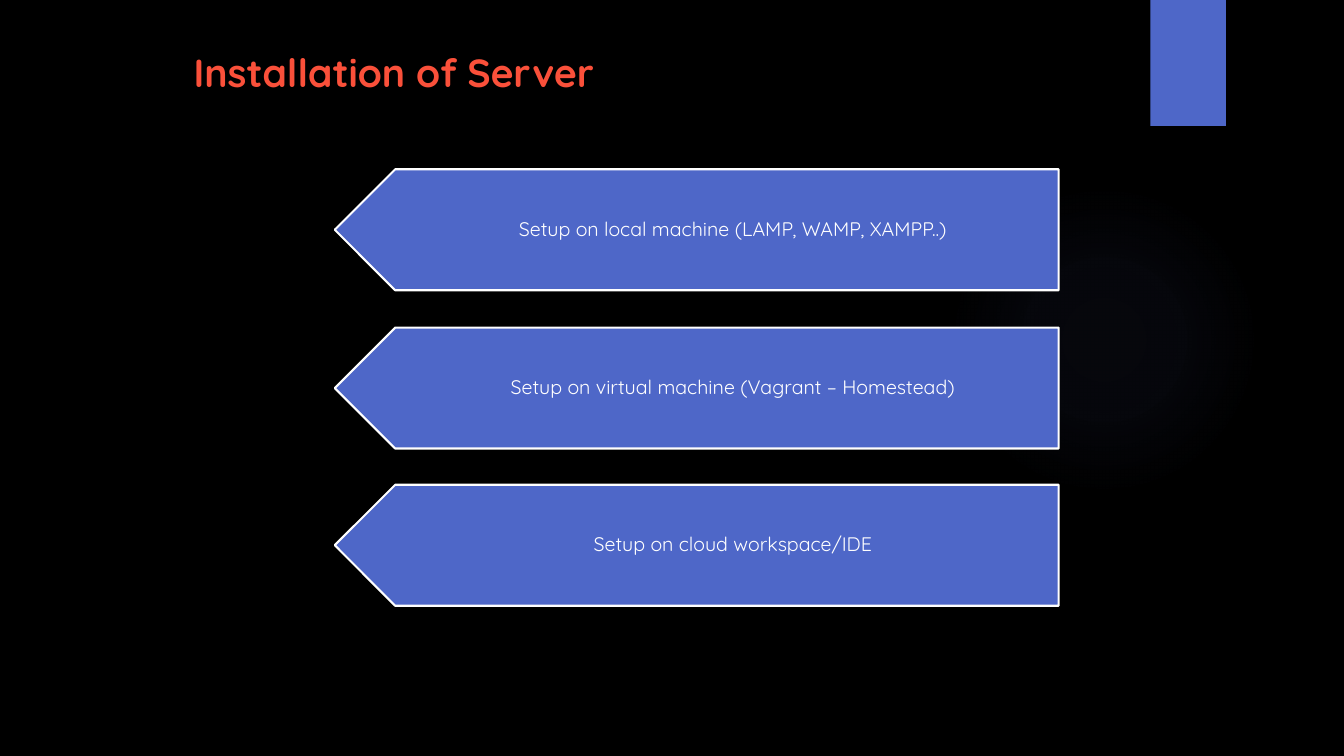
from dataclasses import dataclass

from lxml import etree
from pptx import Presentation
from pptx import util as u
from pptx.dml.color import RGBColor
from pptx.enum import shapes, text
from pptx.oxml import ns


@dataclass(frozen=True)
class Theme:
    font: str = "Quicksand"
    background: str = "000000"
    accent: str = "4E67C8"
    glow: str = "5968B0"
    heading: str = "FA503A"
    light: str = "FFFFFF"
    heading_size: int = 28
    label_size: int = 14
    outline: float = 1.5


def color(value):
    return RGBColor.from_string(value)


def write(frame, words, *, font, size, fill, bold=False, align=text.PP_ALIGN.LEFT,
          anchor=text.MSO_ANCHOR.TOP, margins=(0.1, 0.05, 0.1, 0.05),
          line_spacing=1.0, space_after=0):
    """Fill a text frame with one formatted paragraph; margins run left, top, right, bottom."""
    frame.word_wrap = True
    frame.auto_size = text.MSO_AUTO_SIZE.NONE
    frame.vertical_anchor = anchor
    (frame.margin_left, frame.margin_top,
     frame.margin_right, frame.margin_bottom) = map(u.Inches, margins)
    para = frame.paragraphs[0]
    para.alignment = align
    para.line_spacing = line_spacing
    para.space_after = u.Pt(space_after)
    span = para.add_run()
    span.text = words
    span.font.name = font
    span.font.size = u.Pt(size)
    span.font.bold = bold
    span.font.color.rgb = color(fill)


class SlideBuilder:
    def __init__(self, page, theme):
        self.page = page
        self.theme = theme
        page.background.fill.solid()
        page.background.fill.fore_color.rgb = color(theme.background)

    def shape(self, kind, left, top, width, height):
        box = self.page.shapes.add_shape(kind, *map(u.Inches, (left, top, width, height)))
        box.shadow.inherit = False
        box.line.fill.background()
        return box

    def glow(self, left, top, diameter, stops):
        """Draw a circle that fades outward; stops are (position, opacity) in percent."""
        circle = self.shape(shapes.MSO_SHAPE.OVAL, left, top, diameter, diameter)
        circle.fill.gradient()
        gradient = circle._element.spPr.find(ns.qn("a:gradFill"))
        for child in list(gradient):
            gradient.remove(child)
        stop_list = etree.SubElement(gradient, ns.qn("a:gsLst"))
        for position, opacity in stops:
            stop = etree.SubElement(stop_list, ns.qn("a:gs"), pos=str(position * 1000))
            tint = etree.SubElement(stop, ns.qn("a:srgbClr"), val=self.theme.glow)
            etree.SubElement(tint, ns.qn("a:alpha"), val=str(opacity * 1000))
        radial = etree.SubElement(gradient, ns.qn("a:path"), path="circle")
        etree.SubElement(radial, ns.qn("a:fillToRect"),
                         l="50000", t="50000", r="50000", b="50000")

    def tab(self, left, top, width, height):
        box = self.shape(shapes.MSO_SHAPE.RECTANGLE, left, top, width, height)
        box.fill.solid()
        box.fill.fore_color.rgb = color(self.theme.accent)

    def title(self, words, left, top, width, height):
        box = self.page.shapes.title
        box.left, box.top, box.width, box.height = map(u.Inches, (left, top, width, height))
        write(box.text_frame, words, font=self.theme.font, size=self.theme.heading_size,
              fill=self.theme.heading, bold=True)

    def left_arrow(self, words, left, top, width, height):
        """Draw a labelled bar whose left end is a right-angled point."""
        right, bottom = left + width, top + height
        neck, middle = left + height / 2, top + height / 2
        outline = [(right, bottom), (neck, bottom), (left, middle), (neck, top), (right, top)]
        points = [(u.Inches(x), u.Inches(y)) for x, y in outline]
        builder = self.page.shapes.build_freeform(*points[0])
        builder.add_line_segments(points[1:], close=True)
        arrow = builder.convert_to_shape()
        arrow.shadow.inherit = False
        arrow.fill.solid()
        arrow.fill.fore_color.rgb = color(self.theme.accent)
        arrow.line.color.rgb = color(self.theme.light)
        arrow.line.width = u.Pt(self.theme.outline)
        write(arrow.text_frame, words, font=self.theme.font, size=self.theme.label_size,
              fill=self.theme.light, align=text.PP_ALIGN.CENTER,
              anchor=text.MSO_ANCHOR.MIDDLE, margins=(0.83, 0.06, 0.11, 0.06),
              line_spacing=0.9, space_after=5)


def main():
    deck = Presentation()
    deck.slide_width, deck.slide_height = u.Inches(13.33), u.Inches(7.5)
    title_only = deck.slide_layouts[5]
    slide = SlideBuilder(deck.slides.add_slide(title_only), Theme())

    slide.glow(9.41, 1.83, 3.08, [(0, 7), (36, 6), (69, 0)])
    slide.tab(11.41, 0, 0.75, 1.25)
    slide.title("Installation of Server", 1.82, 0.43, 10.96, 0.73)

    setups = [
        "Setup on local machine (LAMP, WAMP, XAMPP..)",
        "Setup on virtual machine (Vagrant – Homestead)",
        "Setup on cloud workspace/IDE",
    ]
    first_top, pitch = 1.68, 1.565
    for row, setup in enumerate(setups):
        slide.left_arrow(setup, 3.32, round(first_top + row * pitch, 2), 7.18, 1.2)

    deck.save("out.pptx")


if __name__ == "__main__":
    main()
